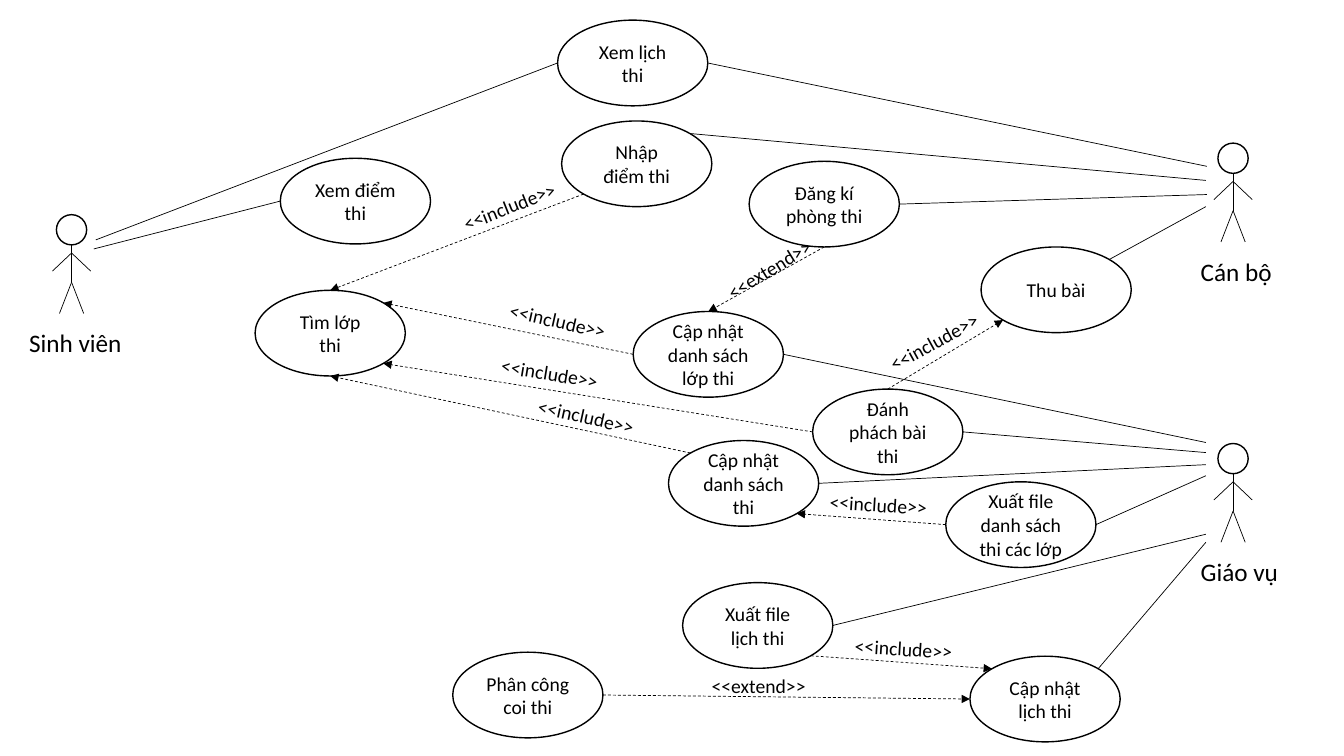
from math import cos, radians, sin

from lxml.etree import SubElement
from pptx import Presentation
from pptx.dml.color import RGBColor
from pptx.enum.dml import MSO_LINE
from pptx.enum.shapes import MSO_CONNECTOR, MSO_SHAPE
from pptx.enum.text import MSO_ANCHOR, MSO_AUTO_SIZE, PP_ALIGN
from pptx.oxml.ns import qn
from pptx.util import Inches, Pt

INK, PAPER = "000000", "FFFFFF"
CELL = 0.1
WIDE, HIGH = 14.9, 8.5
HEAD = 3
TURN = {"e": 0, "se": 45, "s": 90, "sw": 135, "w": 180, "nw": 225, "n": 270, "ne": 315}
STICK = [
    ((0, 3), (0, 6.7)),
    ((0, 3.8), (-1.9, 5.6)),
    ((0, 3.8), (1.9, 5.6)),
    ((0, 6.7), (-1.2, 9.8)),
    ((0, 6.7), (1.2, 9.8)),
]

CASES = {
    "view": ("Xem lịch thi", 55.3, 2),
    "marks": ("Xem điểm thi", 27.8, 15.7),
    "list": ("Cập nhật danh sách thi", 66.3, 43.7),
    "plan": ("Cập nhật lịch thi", 96.2, 65.1),
    "find": ("Tìm lớp thi", 25.3, 28.8),
    "enter": ("Nhập điểm thi", 55.7, 12),
    "code": ("Đánh phách bài thi", 80.6, 38.6),
    "room": ("Đăng kí phòng thi", 74.3, 16),
    "class": ("Cập nhật danh sách lớp thi", 62.8, 30.9),
    "assign": ("Phân công coi thi", 44.9, 64.7),
    "collect": ("Thu bài", 97.3, 24.5),
    "export": ("Xuất file danh sách thi các lớp", 93.8, 47.8),
    "print": ("Xuất file lịch thi", 67.7, 57.8),
}

ACTORS = [
    ("Sinh viên", 7.1, 21.3, 1.9, [(9.5, 23.8, "view", "w"), (9.3, 24.7, "marks", "w")]),
    ("Cán bộ", 122.3, 14.2, 118.1, [
        (119.7, 16.5, "view", "e"), (119.6, 17.9, "enter", "ne"),
        (119.7, 19.3, "room", "e"), (119.6, 20.5, "collect", "ne"),
    ]),
    ("Giáo vụ", 122.3, 44, 118.1, [
        (119.6, 43.9, "class", "e"), (119.6, 44.9, "code", "e"),
        (119.6, 46.1, "list", "e"), (119.6, 47.2, "export", "e"),
        (119.6, 53, "print", "e"), (119.6, 53.8, "plan", "ne"),
    ]),
]

LINKS = [
    ("enter", "sw", "find", "n", "include", 44.7, 18.7, -21.9),
    ("class", "w", "find", "ne", "include", 49.5, 30.2, 12.7),
    ("code", "w", "find", "se", "include", 48.7, 35.4, 9.4),
    ("list", "nw", "find", "s", "include", 52.3, 39.7, 12.4),
    ("room", "s", "class", "n", "extend", 70.6, 24.8, -31.7),
    ("code", "n", "collect", "sw", "include", 86.8, 32.1, -28.7),
    ("export", "w", "list", "se", "include", 81.3, 48.4, 3.6),
    ("print", "se", "plan", "nw", "include", 83.8, 62.7, 3.6),
    ("assign", "e", "plan", "w", "extend", 69.6, 66.4, 0),
]


def paint(code):
    """Turn a hex string into a colour."""
    return RGBColor.from_string(code)


def spot(name, side):
    """Give the point on a use case's rim that faces one side."""
    _, left, top = CASES[name]
    turn = radians(TURN[side])
    return left + WIDE / 2 * (1 + cos(turn)), top + HIGH / 2 * (1 + sin(turn))


class Board:
    """Hold the style and the current slide."""

    def __init__(self, deck):
        """Add a blank slide to the deck."""
        self.slide = deck.slides.add_slide(deck.slide_layouts[6])
        self.font = "Calibri"

    def size(self, *cells):
        """Turn grid cells into lengths."""
        return [Inches(cell * CELL) for cell in cells]

    def style(self, item, form):
        """Set each attribute in a dict of format values."""
        for key, value in form.items():
            setattr(item, key, value)

    def letter(self, shape, text, points, align, form):
        """Put styled text in a shape."""
        frame = shape.text_frame
        self.style(frame, {"word_wrap": True, **form})
        para = frame.paragraphs[0]
        para.alignment = align
        run = para.add_run()
        run.text = text
        self.style(run.font, {"name": self.font, "size": Pt(points)})
        run.font.color.rgb = paint(INK)

    def oval(self, left, top, wide, high, text=""):
        """Draw an outlined ellipse, with or without text."""
        shape = self.slide.shapes.add_shape(MSO_SHAPE.OVAL, *self.size(left, top, wide, high))
        shape.shadow.inherit = False
        shape.fill.solid()
        shape.fill.fore_color.rgb = paint(PAPER)
        shape.line.color.rgb = paint(INK)
        shape.line.width = Pt(1)
        if text:
            self.letter(shape, text, 14, PP_ALIGN.CENTER, {"vertical_anchor": MSO_ANCHOR.MIDDLE})

    def line(self, start, end, arrow=False):
        """Draw a thin line, or a dashed arrow."""
        line = self.slide.shapes.add_connector(
            MSO_CONNECTOR.STRAIGHT, *self.size(*start, *end))
        line.line.color.rgb = paint(INK)
        line.line.width = Pt(0.5)
        props = line._element.spPr
        if arrow:
            line.line.dash_style = MSO_LINE.DASH
            SubElement(props.find(qn("a:ln")), qn("a:tailEnd"), type="triangle")
        SubElement(props, qn("a:effectLst"))

    def label(self, text, left, top, high, points, turn=0):
        """Place a text box, turned if asked."""
        box = self.slide.shapes.add_textbox(*self.size(left, top, 12.1, high))
        box.rotation = turn
        self.letter(box, text, points, PP_ALIGN.LEFT,
                    {"auto_size": MSO_AUTO_SIZE.SHAPE_TO_FIT_TEXT})

    def actor(self, name, mid, top, left):
        """Draw a stick figure with its name."""
        self.oval(mid - HEAD / 2, top, HEAD, HEAD)
        for limb in STICK:
            self.line(*[(mid + x, top + y) for x, y in limb])
        self.label(name, left, top + 10.7, 4, 18)


def main():
    """Build and save the use case diagram."""
    deck = Presentation()
    deck.slide_width, deck.slide_height = Inches(13.33), Inches(7.5)
    board = Board(deck)
    for text, left, top in CASES.values():
        board.oval(left, top, WIDE, HIGH, text)
    for name, mid, top, left, ties in ACTORS:
        board.actor(name, mid, top, left)
        for x, y, case, side in ties:
            board.line((x, y), spot(case, side))
    for case, side, goal, face, kind, left, top, turn in LINKS:
        board.line(spot(case, side), spot(goal, face), arrow=True)
        board.label(f"<<{kind}>>", left, top, 3.4, 14, turn)
    deck.save("out.pptx")


if __name__ == "__main__":
    main()
